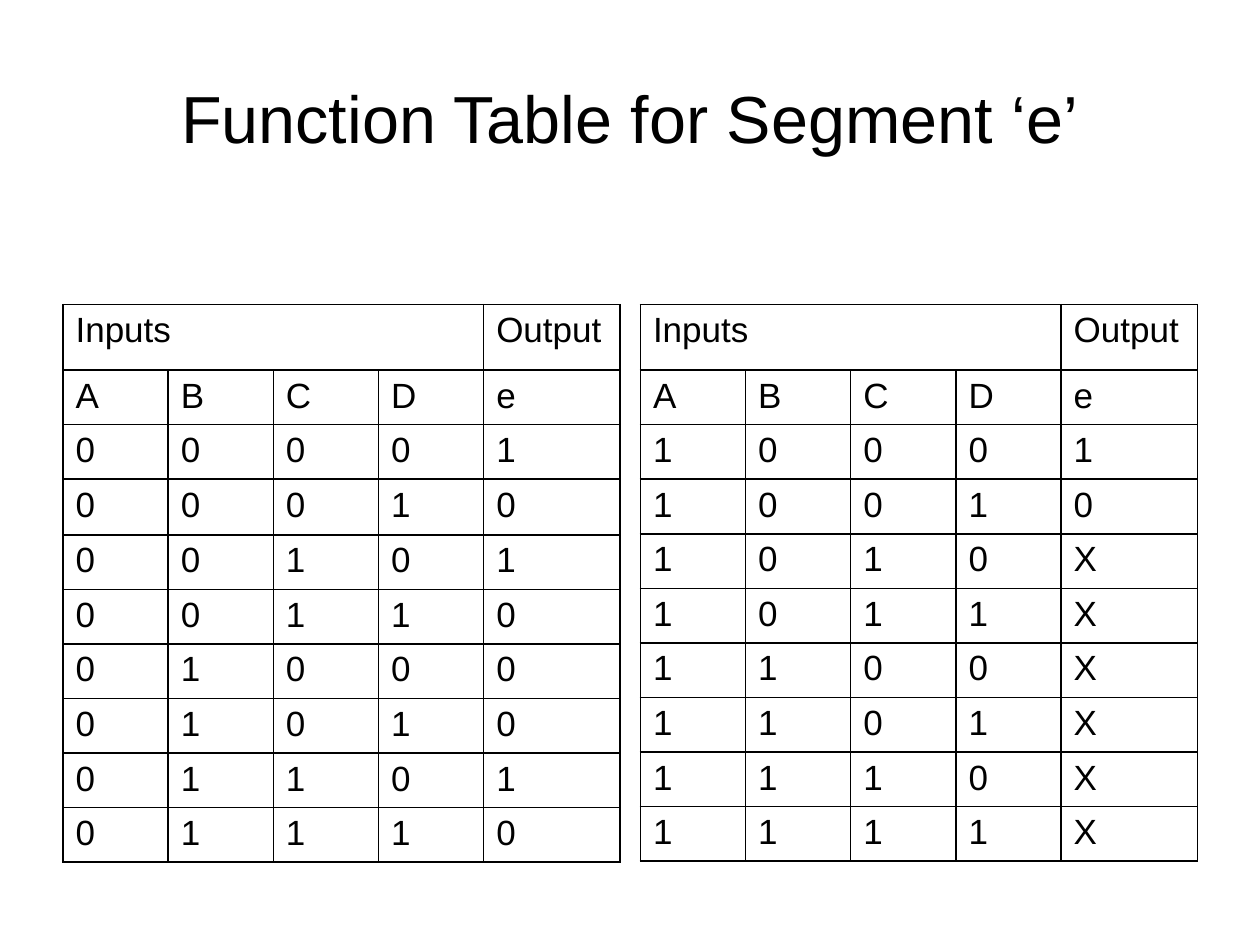
from lxml import etree
from pptx import Presentation
from pptx.dml.color import RGBColor
from pptx.enum.text import MSO_ANCHOR, PP_ALIGN
from pptx.oxml.ns import qn
from pptx.util import Cm, Pt

CENTER, JUSTIFY = PP_ALIGN.CENTER, PP_ALIGN.JUSTIFY
MIDDLE, TOP = MSO_ANCHOR.MIDDLE, MSO_ANCHOR.TOP
BLACK = "000000"


def write_text(frame, text, size=20, color=BLACK, align=JUSTIFY, anchor=TOP, hanging=0):
    frame.word_wrap = True
    frame.vertical_anchor = anchor
    paragraph = frame.paragraphs[0]
    paragraph.alignment = align
    if hanging:
        properties = paragraph._p.get_or_add_pPr()
        properties.set("marL", str(Cm(hanging)))
        properties.set("indent", str(-Cm(hanging)))
    run = paragraph.add_run()
    run.text = text
    run.font.name = "Arial"
    run.font.size = Pt(size)
    run.font.color.rgb = RGBColor.from_string(color)


def add_borders(cell, color=BLACK, width=1):
    properties = cell._tc.get_or_add_tcPr()
    for side in ("lnL", "lnR", "lnT", "lnB"):
        line = etree.SubElement(properties, qn(f"a:{side}"), w=str(Pt(width)))
        fill = etree.SubElement(line, qn("a:solidFill"))
        etree.SubElement(fill, qn("a:srgbClr"), val=color)


prs = Presentation()
prs.slide_width, prs.slide_height = Cm(25.4), Cm(19.05)
slide = prs.slides.add_slide(prs.slide_layouts[5])

# Title
title = slide.shapes.title
title.left, title.top, title.width, title.height = Cm(1.27), Cm(0.76), Cm(22.86), Cm(3.18)
write_text(title.text_frame, "Function Table for Segment ‘e’", size=38, align=CENTER, anchor=MIDDLE)

# Truth tables: left edge, first input code, outputs, hanging indent, height of row 3
column_widths = [2.12] * 4 + [2.75]
halves = [
    (1.27, 0, "10100010", 0.95, 1.12),
    (12.91, 8, "10XXXXXX", 0, 1.1),
]
for left, first_code, outputs, hanging, third_height in halves:
    row_heights = [1.32, 1.1, 1.1, third_height] + [1.1] * 6
    truth_table = slide.shapes.add_table(
        len(row_heights), len(column_widths), Cm(left), Cm(6.14),
        Cm(sum(column_widths)), Cm(sum(row_heights))).table
    truth_table.first_row = truth_table.horz_banding = False
    for column, width in zip(truth_table.columns, column_widths):
        column.width = Cm(width)
    for row, height in zip(truth_table.rows, row_heights):
        row.height = Cm(height)

    # Headings, then the inputs counted in binary
    lines = [["Inputs", "", "", "", "Output"], "ABCDe"]
    lines += [f"{code:04b}{output}" for code, output in enumerate(outputs, first_code)]
    truth_table.cell(0, 0).merge(truth_table.cell(0, 3))
    for row, line in zip(truth_table.rows, lines):
        for cell, text in zip(row.cells, line):
            add_borders(cell)
            cell.fill.background()
            if text:
                write_text(cell.text_frame, text, hanging=hanging)

prs.save("out.pptx")
